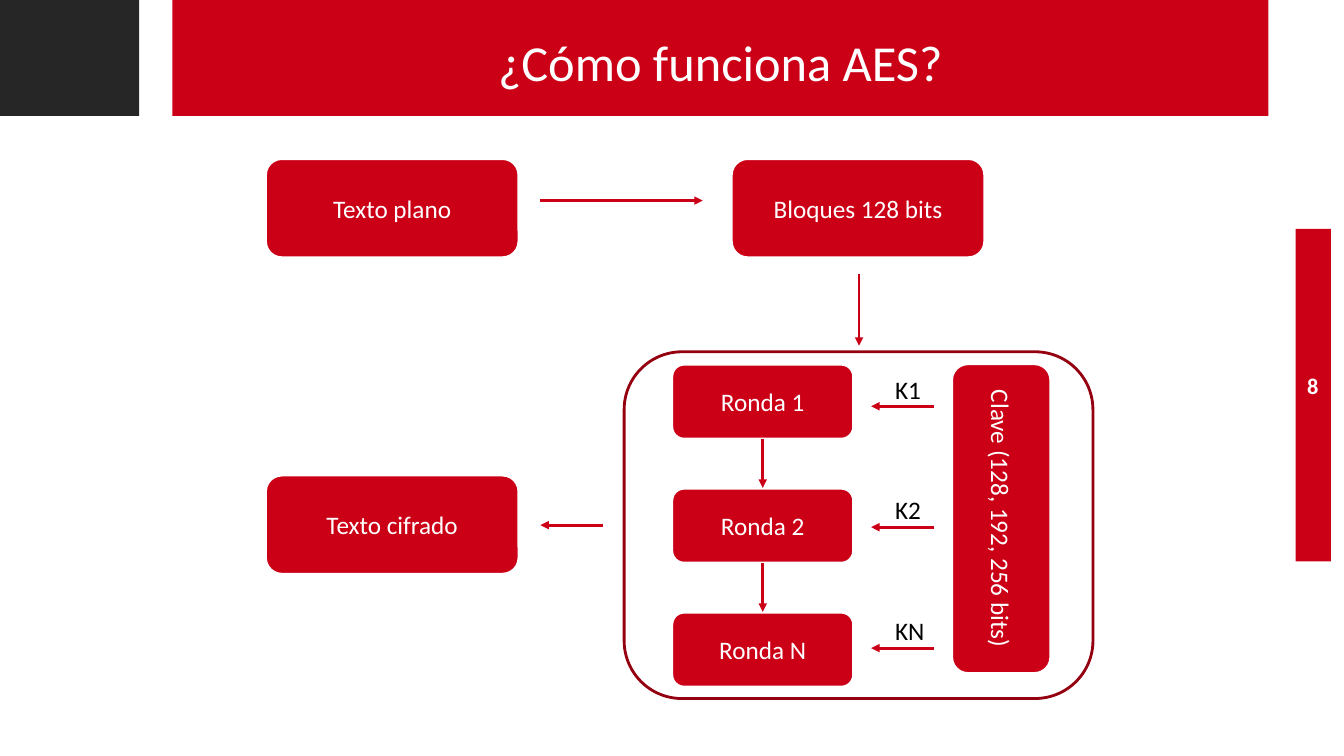
"""Build the slide that explains how AES turns plain text into cipher text."""
import pptx
import pptx.util
import pptx.dml.color
import pptx.enum.shapes
import pptx.enum.text
import pptx.oxml
import pptx.oxml.ns

TITLE = "¿Cómo funciona AES?"
PAGE_NUMBER = "8"
ROUNDS = ["Ronda 1", "Ronda 2", "Ronda N"]
KEYS = [("K1", 0.49), ("K2", 0.49), ("KN", 0.65)]
KEY_TEXT = "Clave (128, 192, 256 bits)"

COLORS = {"red": "CB0017", "dark_red": "940010", "black": "000000",
          "charcoal": "262626", "white": "FFFFFF"}
FONT = "Calibri"
SLIDE_WIDTH, SLIDE_HEIGHT = 13.33, 7.5

BANNER_LEFT, BANNER_WIDTH, BANNER_HEIGHT = 1.71, 10.87, 1.15
LEFT_COLUMN, RIGHT_COLUMN, TOP_ROW, BOTTOM_ROW = 2.63, 7.25, 1.57, 4.71
BOX_WIDTH, BOX_HEIGHT = 2.52, 0.99
ROUND_LEFT, ROUND_TOP, ROUND_WIDTH, ROUND_HEIGHT = 6.66, 3.61, 1.81, 0.75
ROUND_PITCH = 1.23
KEY_ARROW_START, KEY_ARROW_END, KEY_ARROW_TOP, KEY_PITCH = 9.26, 8.64, 4.03, 1.2
LABEL_LEFT, LABEL_RISE, LABEL_HEIGHT = 8.78, 0.37, 0.4

STAGES = [("Texto plano", LEFT_COLUMN, TOP_ROW),
          ("Bloques 128 bits", RIGHT_COLUMN, TOP_ROW),
          ("Texto cifrado", LEFT_COLUMN, BOTTOM_ROW)]
FLOW_ARROWS = [(5.36, 1.99, 6.97, 1.99), (8.52, 2.72, 8.52, 3.43),
               (5.98, 5.21, 5.36, 5.21)]
BARS = [("red", 12.85, 2.27, 0.35, 3.3),
        ("red", BANNER_LEFT, 0, BANNER_WIDTH, BANNER_HEIGHT),
        ("charcoal", 0, 0, 1.38, BANNER_HEIGHT)]

RECTANGLE = pptx.enum.shapes.MSO_SHAPE.RECTANGLE
ROUNDED = pptx.enum.shapes.MSO_SHAPE.ROUNDED_RECTANGLE
CENTER = pptx.enum.text.PP_ALIGN.CENTER
LEFT = pptx.enum.text.PP_ALIGN.LEFT
MIDDLE = pptx.enum.text.MSO_ANCHOR.MIDDLE


def inches(*lengths):
    return [pptx.util.Inches(length) for length in lengths]


def rgb(name):
    return pptx.dml.color.RGBColor.from_string(COLORS[name])


def write(shape, text, size=18, color="white", align=CENTER, anchor=MIDDLE, bold=False):
    frame = shape.text_frame
    frame.text = text
    frame.word_wrap = True
    frame.vertical_anchor = anchor
    paragraph = frame.paragraphs[0]
    paragraph.alignment = align
    font = paragraph.runs[0].font
    font.name, font.size, font.bold = FONT, pptx.util.Pt(size), bold
    font.color.rgb = rgb(color)


def add_panel(slide, kind, box, fill=None, line=None, line_width=2.5):
    shape = slide.shapes.add_shape(kind, *inches(*box))
    shape.shadow.inherit = False
    if fill:
        shape.fill.solid()
        shape.fill.fore_color.rgb = rgb(fill)
    else:
        shape.fill.background()
    if line:
        shape.line.color.rgb = rgb(line)
        shape.line.width = pptx.util.Pt(line_width)
    else:
        shape.line.fill.background()
    return shape


def add_box(slide, text, *box):
    shape = add_panel(slide, ROUNDED, box, "red", "white")
    write(shape, text)
    return shape


def add_arrow(slide, *ends):
    straight = pptx.enum.shapes.MSO_CONNECTOR.STRAIGHT
    arrow = slide.shapes.add_connector(straight, *inches(*ends))
    arrow.line.color.rgb = rgb("red")
    arrow.line.width = pptx.util.Pt(2)
    namespace = pptx.oxml.ns.nsdecls("a")
    arrow.line._get_or_add_ln().append(
        pptx.oxml.parse_xml(f'<a:tailEnd {namespace} type="triangle"/>'))
    arrow._element.spPr.append(pptx.oxml.parse_xml(f"<a:effectLst {namespace}/>"))
    return arrow


def add_frame(slide):
    for color, *box in BARS:
        add_panel(slide, RECTANGLE, box, color)
    number = slide.shapes.add_textbox(*inches(12.65, 3.63, 0.74, 0.4))
    write(number, PAGE_NUMBER, size=16, bold=True)
    title = slide.shapes.title
    title.left, title.top, title.width, title.height = inches(
        BANNER_LEFT, 0.06, BANNER_WIDTH, 0.9)
    write(title, TITLE, size=36, anchor=pptx.enum.text.MSO_ANCHOR.BOTTOM)
    slide.shapes._spTree.append(title._element)


def add_rounds(slide):
    add_panel(slide, ROUNDED, (6.19, 3.49, 4.65, 3.44), line="dark_red", line_width=2)
    boxes = [add_box(slide, text, ROUND_LEFT, ROUND_TOP + row * ROUND_PITCH,
                     ROUND_WIDTH, ROUND_HEIGHT)
             for row, text in enumerate(ROUNDS)]
    for upper, lower in zip(boxes, boxes[1:]):
        arrow = add_arrow(slide, 0, 0, 1, 1)
        arrow.begin_connect(upper, 2)
        arrow.end_connect(lower, 0)


def add_keys(slide):
    add_box(slide, KEY_TEXT, 8.39, 4.65, 3.08, BOX_HEIGHT).rotation = 90
    for row, (text, width) in enumerate(KEYS):
        y = KEY_ARROW_TOP + row * KEY_PITCH
        add_arrow(slide, KEY_ARROW_START, y, KEY_ARROW_END, y)
        label = slide.shapes.add_textbox(
            *inches(LABEL_LEFT, y - LABEL_RISE, width, LABEL_HEIGHT))
        write(label, text, color="black", align=LEFT,
              anchor=pptx.enum.text.MSO_ANCHOR.TOP)
        label.text_frame.auto_size = pptx.enum.text.MSO_AUTO_SIZE.SHAPE_TO_FIT_TEXT


def main():
    presentation = pptx.Presentation()
    presentation.slide_width, presentation.slide_height = inches(SLIDE_WIDTH, SLIDE_HEIGHT)
    slide = presentation.slides.add_slide(presentation.slide_layouts[5])
    add_frame(slide)
    for text, left, top in STAGES:
        add_box(slide, text, left, top, BOX_WIDTH, BOX_HEIGHT)
    for ends in FLOW_ARROWS:
        add_arrow(slide, *ends)
    add_rounds(slide)
    add_keys(slide)
    presentation.save("out.pptx")


if __name__ == "__main__":
    main()
